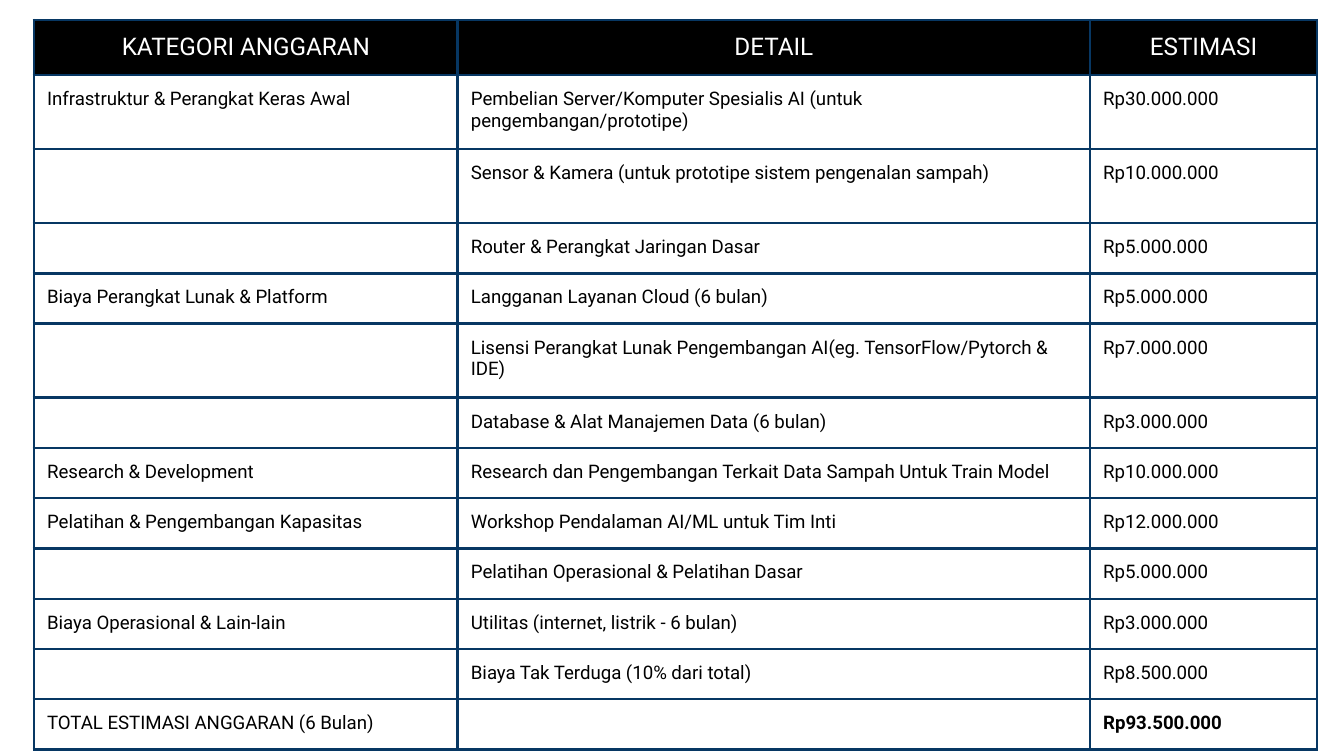
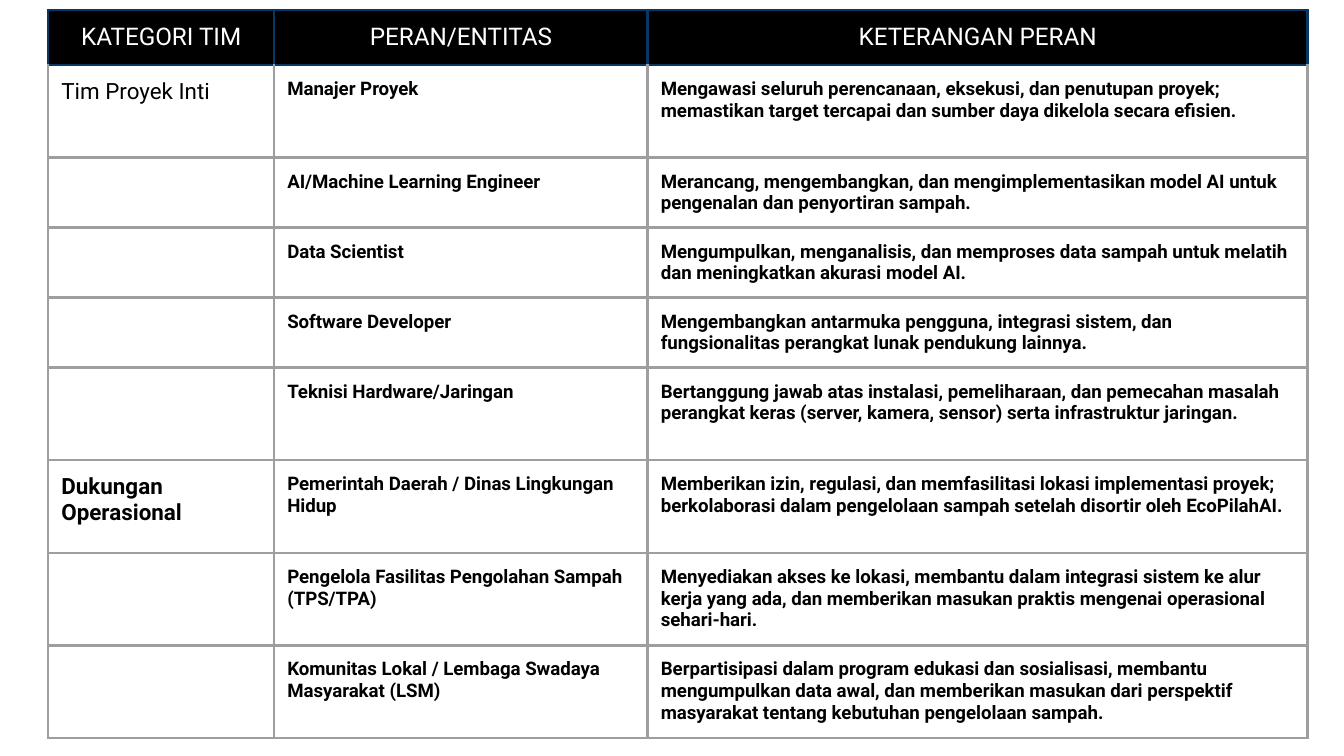
from dataclasses import dataclass

from lxml.etree import SubElement
from pptx import Presentation
from pptx.dml.color import RGBColor
from pptx.enum.text import MSO_ANCHOR, PP_ALIGN
from pptx.oxml.ns import qn
from pptx.util import Cm, Pt


# Theme: colours, type sizes and cell formats
@dataclass(frozen=True)
class Theme:
    font: str = "Roboto"
    black: str = "000000"
    white: str = "FFFFFF"
    navy: str = "073763"
    grey: str = "9E9E9E"
    header_size: int = 13
    category_size: int = 12
    body_size: int = 10
    border_width: float = 1.5
    cell_margin: float = 0.25

    def text_format(self, style):
        size, bold, colour = {
            "header": (self.header_size, False, self.white),
            "category": (self.category_size, False, self.black),
            "category bold": (self.category_size, True, self.black),
            "body": (self.body_size, False, self.black),
            "bold": (self.body_size, True, self.black),
        }[style]
        return {"name": self.font, "size": Pt(size), "bold": bold}, colour


class Deck:
    """Holds the theme and the slide being built."""

    def __init__(self, theme):
        self.theme = theme
        self.presentation = Presentation()
        self.presentation.slide_width = Cm(25.4)
        self.presentation.slide_height = Cm(14.29)
        self.slide = None

    def add_slide(self):
        self.slide = self.presentation.slides.add_slide(self.presentation.slide_layouts[6])
        background = self.slide.background.fill
        background.solid()
        background.fore_color.rgb = RGBColor.from_string(self.theme.white)

    def add_table(self, left, top, widths, heights, rows, styles, border):
        """Each cell is a text in its column's style, or a (text, style) pair."""
        table = self.slide.shapes.add_table(
            len(rows), len(widths), Cm(left), Cm(top), Cm(sum(widths)), Cm(sum(heights))
        ).table
        table.first_row = table.horz_banding = False
        for column, width in zip(table.columns, widths):
            column.width = Cm(width)
        for row, height in zip(table.rows, heights):
            row.height = Cm(height)

        for row_index, row in enumerate(rows):
            for column_index, entry in enumerate(row):
                text, style = entry if isinstance(entry, tuple) else (entry, styles[column_index])
                cell = table.cell(row_index, column_index)
                is_header = row_index == 0
                side = self.theme.navy if is_header else border
                upper = self.theme.navy if row_index <= 1 else border
                self.set_borders(cell, {"L": side, "R": side, "T": upper, "B": side})
                if is_header:
                    cell.fill.solid()
                    cell.fill.fore_color.rgb = RGBColor.from_string(self.theme.black)
                else:
                    cell.fill.background()
                self.set_text(cell, text, "header" if is_header else style)

    def set_borders(self, cell, colours):
        properties = cell._tc.get_or_add_tcPr()
        for edge, colour in colours.items():
            line = SubElement(properties, qn(f"a:ln{edge}"), w=str(Pt(self.theme.border_width)))
            fill = SubElement(line, qn("a:solidFill"))
            SubElement(fill, qn("a:srgbClr"), val=colour)

    def set_text(self, cell, text, style):
        margin = Cm(self.theme.cell_margin)
        layout = {f"margin_{edge}": margin for edge in ("left", "right", "top", "bottom")}
        layout["vertical_anchor"] = MSO_ANCHOR.TOP
        for name, value in layout.items():
            setattr(cell, name, value)

        paragraph = cell.text_frame.paragraphs[0]
        paragraph.alignment = PP_ALIGN.CENTER if style == "header" else PP_ALIGN.LEFT
        if not text:
            # An empty cell needs its own type size to keep the row low
            SubElement(paragraph._p, qn("a:endParaRPr"), sz=str(self.theme.body_size * 100))
            return
        run = paragraph.add_run()
        run.text = text
        values, colour = self.theme.text_format(style)
        for name, value in values.items():
            setattr(run.font, name, value)
        run.font.color.rgb = RGBColor.from_string(colour)


BUDGET = [
    ("KATEGORI ANGGARAN", "DETAIL", "ESTIMASI"),
    ("Infrastruktur & Perangkat Keras Awal",
     "Pembelian Server/Komputer Spesialis AI (untuk pengembangan/prototipe)", "Rp30.000.000"),
    ("", "Sensor & Kamera (untuk prototipe sistem pengenalan sampah)", "Rp10.000.000"),
    ("", "Router & Perangkat Jaringan Dasar", "Rp5.000.000"),
    ("Biaya Perangkat Lunak & Platform", "Langganan Layanan Cloud (6 bulan)", "Rp5.000.000"),
    ("", "Lisensi Perangkat Lunak Pengembangan AI(eg. TensorFlow/Pytorch & IDE)", "Rp7.000.000"),
    ("", "Database & Alat Manajemen Data (6 bulan)", "Rp3.000.000"),
    ("Research & Development",
     "Research dan Pengembangan Terkait Data Sampah Untuk Train Model", "Rp10.000.000"),
    ("Pelatihan & Pengembangan Kapasitas",
     "Workshop Pendalaman AI/ML untuk Tim Inti", "Rp12.000.000"),
    ("", "Pelatihan Operasional & Pelatihan Dasar", "Rp5.000.000"),
    ("Biaya Operasional & Lain-lain", "Utilitas (internet, listrik - 6 bulan)", "Rp3.000.000"),
    ("", "Biaya Tak Terduga (10% dari total)", "Rp8.500.000"),
    ("TOTAL ESTIMASI ANGGARAN (6 Bulan)", "", ("Rp93.500.000", "bold")),
]

TEAM = [
    ("KATEGORI TIM", "PERAN/ENTITAS", "KETERANGAN PERAN"),
    ("Tim Proyek Inti", "Manajer Proyek",
     "Mengawasi seluruh perencanaan, eksekusi, dan penutupan proyek; "
     "memastikan target tercapai dan sumber daya dikelola secara efisien."),
    ("", "AI/Machine Learning Engineer",
     "Merancang, mengembangkan, dan mengimplementasikan model AI untuk "
     "pengenalan dan penyortiran sampah."),
    ("", "Data Scientist",
     "Mengumpulkan, menganalisis, dan memproses data sampah untuk melatih "
     "dan meningkatkan akurasi model AI."),
    ("", "Software Developer",
     "Mengembangkan antarmuka pengguna, integrasi sistem, dan "
     "fungsionalitas perangkat lunak pendukung lainnya."),
    ("", "Teknisi Hardware/Jaringan",
     "Bertanggung jawab atas instalasi, pemeliharaan, dan pemecahan masalah "
     "perangkat keras (server, kamera, sensor) serta infrastruktur jaringan."),
    (("Dukungan Operasional", "category bold"), "Pemerintah Daerah / Dinas Lingkungan Hidup",
     "Memberikan izin, regulasi, dan memfasilitasi lokasi implementasi proyek; "
     "berkolaborasi dalam pengelolaan sampah setelah disortir oleh EcoPilahAI."),
    ("", "Pengelola Fasilitas Pengolahan Sampah (TPS/TPA)",
     "Menyediakan akses ke lokasi, membantu dalam integrasi sistem ke alur "
     "kerja yang ada, dan memberikan masukan praktis mengenai operasional sehari-hari."),
    ("", "Komunitas Lokal / Lembaga Swadaya Masyarakat (LSM)",
     "Berpartisipasi dalam program edukasi dan sosialisasi, membantu "
     "mengumpulkan data awal, dan memberikan masukan dari perspektif "
     "masyarakat tentang kebutuhan pengelolaan sampah."),
]


def main():
    theme = Theme()
    deck = Deck(theme)
    header, single, double = 1.04, 0.95, 1.4

    # Budget table
    deck.add_slide()
    deck.add_table(
        0.64, 0.38, [8.01, 11.95, 4.29],
        [header, double, double, single, single, double] + [single] * 7,
        BUDGET, ["body"] * 3, theme.navy,
    )

    # Team table
    low, tall = 1.32, 1.75
    deck.add_slide()
    deck.add_table(
        0.91, 0.19, [4.27, 7.06, 12.47],
        [header, tall] + [low] * 3 + [tall] * 4,
        TEAM, ["category", "bold", "bold"], theme.grey,
    )

    deck.presentation.save("out.pptx")


if __name__ == "__main__":
    main()
